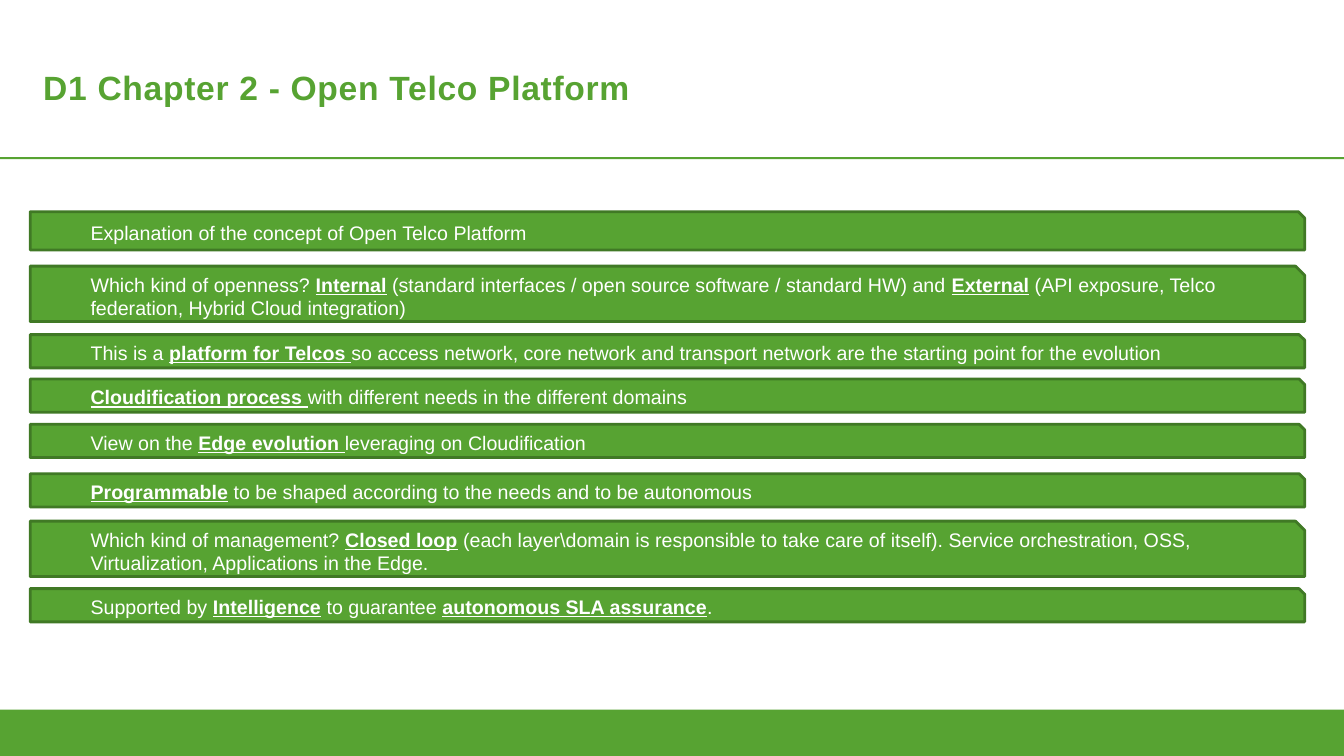
from dataclasses import dataclass

from pptx import Presentation
from pptx.dml.color import RGBColor
from pptx.enum.shapes import MSO_SHAPE
from pptx.enum.text import MSO_ANCHOR, PP_ALIGN
from pptx.shapes.autoshape import Shape
from pptx.slide import Slide
from pptx.text.text import _Paragraph as Paragraph
from pptx.util import Inches, Pt

COLORS = {"green": "57A332", "dark green": "407925", "white": "FFFFFF"}
COLUMNS, ROWS = 1333, 750
SLIDE_WIDTH, SLIDE_HEIGHT = Inches(13.33), Inches(7.5)
BAR_LEFT, BAR_COLUMNS = 30, 1264
ONE_LINE, INTRO_LINE, TWO_LINES = 33, 38, 55
EMPHASIS_MARK = "*"

TITLE_FORMAT = {"name": "Arial", "size": Pt(24), "bold": True}
PLAIN_FORMAT = {"name": "Arial", "size": Pt(14), "bold": False, "underline": False}
EMPHASIS_FORMAT = PLAIN_FORMAT | {"bold": True, "underline": True}
FRAME_FORMAT = {"word_wrap": True, "vertical_anchor": MSO_ANCHOR.MIDDLE}


@dataclass(frozen=True)
class Area:
    column: int
    row: int
    columns: int
    rows: int

    def lengths(self) -> tuple[int, int, int, int]:
        return (
            SLIDE_WIDTH * self.column // COLUMNS,
            SLIDE_HEIGHT * self.row // ROWS,
            SLIDE_WIDTH * self.columns // COLUMNS,
            SLIDE_HEIGHT * self.rows // ROWS,
        )


@dataclass(frozen=True)
class Topic:
    row: int
    rows: int
    text: str


TITLE_RULE = Area(0, 156, COLUMNS, 2)
FOOTER = Area(0, 704, COLUMNS, 46)
TITLE = Area(33, 58, 966, 56)

TOPICS = [
    Topic(210, INTRO_LINE, "Explanation of the concept of Open Telco Platform"),
    Topic(264, TWO_LINES, "Which kind of openness? *Internal* (standard interfaces / open source "
          "software / standard HW) and *External* (API exposure, Telco federation, "
          "Hybrid Cloud integration)"),
    Topic(332, ONE_LINE, "This is a *platform for Telcos *so access network, core network and "
          "transport network are the starting point for the evolution"),
    Topic(376, ONE_LINE, "*Cloudification process *with different needs in the different domains"),
    Topic(421, ONE_LINE, "View on the *Edge evolution *leveraging on Cloudification"),
    Topic(470, ONE_LINE, "*Programmable* to be shaped according to the needs and to be autonomous"),
    Topic(517, TWO_LINES, "Which kind of management? *Closed loop* (each layer\\domain is responsible "
          "to take care of itself). Service orchestration, OSS, Virtualization, "
          "Applications in the Edge."),
    Topic(584, ONE_LINE, "Supported by *Intelligence* to guarantee *autonomous SLA assurance*."),
]


def apply_format(target: object, values: dict) -> None:
    for name, value in values.items():
        setattr(target, name, value)


def add_run(paragraph: Paragraph, text: str, values: dict, color: str) -> None:
    run = paragraph.add_run()
    run.text = text
    apply_format(run.font, values)
    run.font.color.rgb = RGBColor.from_string(COLORS[color])


def add_block(slide: Slide, area: Area, preset: MSO_SHAPE) -> Shape:
    shape = slide.shapes.add_shape(preset, *area.lengths())
    shape.shadow.inherit = False
    shape.fill.solid()
    shape.fill.fore_color.rgb = RGBColor.from_string(COLORS["green"])
    shape.line.fill.background()
    return shape


def add_title(slide: Slide, text: str) -> None:
    frame = slide.shapes.add_textbox(*TITLE.lengths()).text_frame
    apply_format(frame, FRAME_FORMAT)
    paragraph = frame.paragraphs[0]
    add_run(paragraph, text, TITLE_FORMAT, "green")
    paragraph.runs[0].font._element.set("spc", "50")


def add_topic(slide: Slide, topic: Topic) -> None:
    area = Area(BAR_LEFT, topic.row, BAR_COLUMNS, topic.rows)
    shape = add_block(slide, area, MSO_SHAPE.SNIP_1_RECTANGLE)
    shape.line.color.rgb = RGBColor.from_string(COLORS["dark green"])
    shape.line.width = Pt(2)
    apply_format(shape.text_frame, FRAME_FORMAT)
    paragraph = shape.text_frame.paragraphs[0]
    apply_format(paragraph, {"level": 1, "alignment": PP_ALIGN.LEFT})
    paragraph._p.get_or_add_pPr().set("marL", str(Inches(0.5)))
    for index, part in enumerate(topic.text.split(EMPHASIS_MARK)):
        if part:
            add_run(paragraph, part, EMPHASIS_FORMAT if index % 2 else PLAIN_FORMAT, "white")


def main() -> None:
    presentation = Presentation()
    apply_format(presentation, {"slide_width": SLIDE_WIDTH, "slide_height": SLIDE_HEIGHT})
    slide = presentation.slides.add_slide(presentation.slide_layouts[6])
    for area in (FOOTER, TITLE_RULE):
        add_block(slide, area, MSO_SHAPE.RECTANGLE)
    add_title(slide, "D1 Chapter 2 - Open Telco Platform")
    for topic in TOPICS:
        add_topic(slide, topic)
    presentation.save("out.pptx")


if __name__ == "__main__":
    main()
